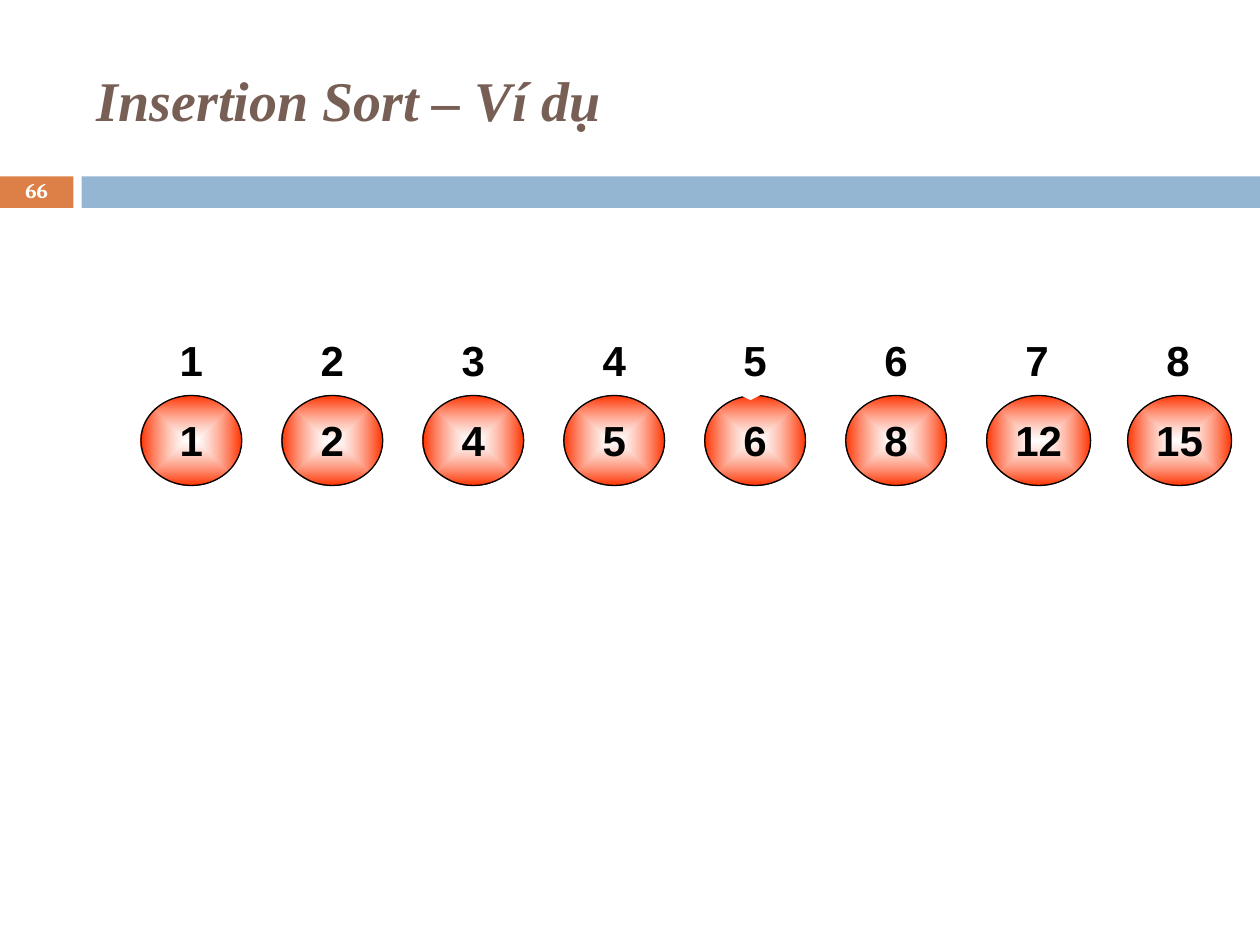
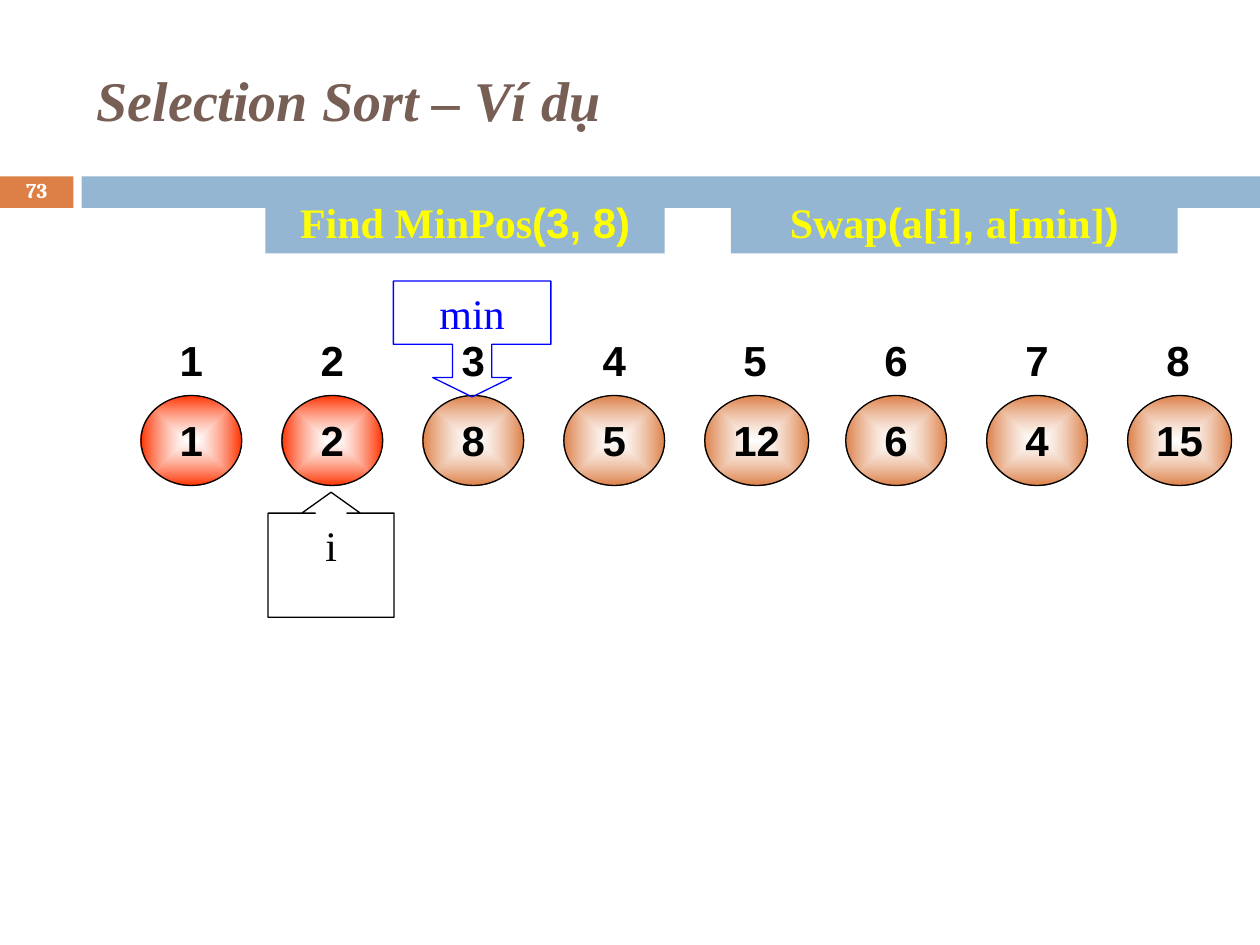
"""Build two slides that show sorting steps as rows of numbered circles."""
from pptx import Presentation
from pptx.dml.color import RGBColor
from pptx.enum.shapes import MSO_SHAPE
from pptx.enum.text import MSO_ANCHOR, PP_ALIGN
from pptx.oxml import parse_xml
from pptx.oxml.ns import nsdecls, qn
from pptx.util import Pt

COLORS = {
    "title": "775F55", "orange": "DD8047", "blue": "94B6D2", "sorted": "FF3300",
    "white": "FFFFFF", "black": "000000", "pointer": "0000FF", "yellow": "FFFF00",
}
SERIF, SANS, NUMBER_FONT = "Times New Roman", "Arial", "Cambria"

UP = (MSO_SHAPE.UP_ARROW_CALLOUT, (0.252, 0.234, 0.167, 0.989))
DOWN = (MSO_SHAPE.DOWN_ARROW_CALLOUT, (0.34, 0.34, 0.167, 0.546))

SLIDES = [
    {
        "title": "Insertion Sort – Ví dụ", "number": "66",
        "values": [1, 2, 4, 5, 6, 8, 12, 15], "sorted_count": 8,
        "callouts": [
            {"text": "", "kind": DOWN, "at": (383.8, 162, 90, 66.2),
             "fill": "white", "color": "white"},
        ],
        "banners": [],
    },
    {
        "title": "Selection Sort – Ví dụ", "number": "73",
        "values": [1, 2, 8, 5, 12, 6, 4, 15], "sorted_count": 2,
        "callouts": [
            {"text": "i", "kind": UP, "at": (153.2, 281.3, 72, 71.5),
             "fill": None, "color": "black"},
            {"text": "min", "kind": DOWN, "at": (224.8, 160.6, 90, 66.2),
             "fill": None, "color": "pointer"},
        ],
        "banners": [
            {"left": 151.7, "width": 228.2,
             "runs": [("Find MinPos", SERIF), ("(3, 8)", SANS)]},
            {"left": 417.7, "width": 255.2,
             "runs": [("Swap", SERIF), ("(", SANS), ("a[i]", SERIF), (", ", SANS),
                      ("a[min]", SERIF), (")", SANS)]},
        ],
    },
]

ROW_LEFT, PITCH = 80.6, 80.54
CIRCLE_WIDTH, WIDE_CIRCLE_WIDTH, CIRCLE_HEIGHT = 57.6, 59.4, 51.4
LABEL_TOP, CIRCLE_TOP = 180.3, 226
BAND_TOP, BAND_HEIGHT = 100.8, 18


def rgb(name):
    return RGBColor.from_string(COLORS[name])


def write(shape, text, font=SANS, size=24, color="black", bold=False, italic=False,
          align=PP_ALIGN.CENTER, anchor=MSO_ANCHOR.TOP, wrap=False, spacing=None):
    frame = shape.text_frame
    frame.word_wrap = wrap
    frame.vertical_anchor = anchor
    para = frame.paragraphs[0]
    para.alignment = align
    if spacing:
        para.line_spacing = spacing
    runs = [(text, font)] if isinstance(text, str) else text
    for words, run_font in runs:
        span = para.add_run()
        span.text = words
        span.font.name = run_font
        span.font.size = Pt(size)
        span.font.bold = bold
        span.font.italic = italic
        span.font.color.rgb = rgb(color)


def add_figure(shapes, kind, at, fill=None, line=None):
    shape = shapes.add_shape(kind, *map(Pt, at))
    shape.shadow.inherit = False
    if fill:
        shape.fill.solid()
        shape.fill.fore_color.rgb = rgb(fill)
    else:
        shape.fill.background()
    if line:
        shape.line.color.rgb = rgb(line)
        shape.line.width = Pt(0.75)
    else:
        shape.line.fill.background()
    return shape


def shade_from_centre(shape, color):
    shape.fill.gradient()
    plain = shape._element.spPr.find(qn("a:gradFill"))
    glow = parse_xml(
        f'<a:gradFill {nsdecls("a")} rotWithShape="0"><a:gsLst>'
        f'<a:gs pos="0"><a:srgbClr val="{COLORS["white"]}"><a:alpha val="60000"/></a:srgbClr></a:gs>'
        f'<a:gs pos="100000"><a:srgbClr val="{COLORS[color]}"/></a:gs></a:gsLst>'
        '<a:path path="rect"><a:fillToRect l="50000" t="50000" r="50000" b="50000"/></a:path>'
        '</a:gradFill>')
    plain.getparent().replace(plain, glow)


def add_frame(page, title, number):
    add_figure(page.shapes, MSO_SHAPE.RECTANGLE, (0, BAND_TOP, 42, BAND_HEIGHT), "orange")
    add_figure(page.shapes, MSO_SHAPE.RECTANGLE, (46.6, BAND_TOP, 673.4, BAND_HEIGHT), "blue")
    heading = page.shapes.add_textbox(*map(Pt, (48.2, 18, 642.2, 77.8)))
    write(heading, title, font=SERIF, size=32, color="title", bold=True, italic=True,
          align=PP_ALIGN.LEFT, anchor=MSO_ANCHOR.MIDDLE, wrap=True)
    box = page.shapes.add_textbox(*map(Pt, (0, 100.1, 42, 19.4)))
    write(box, number, font=NUMBER_FONT, size=12, color="white", bold=True,
          anchor=MSO_ANCHOR.MIDDLE, wrap=True, spacing=0.8)


def add_circles(page, values, sorted_count):
    for index, value in enumerate(values):
        width = WIDE_CIRCLE_WIDTH if value > 9 else CIRCLE_WIDTH
        at = (ROW_LEFT + index * PITCH, CIRCLE_TOP, width, CIRCLE_HEIGHT)
        circle = add_figure(page.shapes, MSO_SHAPE.OVAL, at, line="black")
        shade_from_centre(circle, "sorted" if index < sorted_count else "orange")
        write(circle, str(value), bold=True)


def add_index_labels(page, count):
    group = page.shapes.add_group_shape()
    for index in range(count):
        at = (ROW_LEFT + index * PITCH, LABEL_TOP, CIRCLE_WIDTH, CIRCLE_HEIGHT)
        label = add_figure(group.shapes, MSO_SHAPE.OVAL, at)
        write(label, str(index + 1), bold=True)


def add_callout(page, text, kind, at, fill, color):
    preset, adjustments = kind
    callout = add_figure(page.shapes, preset, at, fill, color)
    for index, amount in enumerate(adjustments):
        callout.adjustments[index] = amount
    if text:
        write(callout, text, font=SERIF, color=color)


def add_banner(page, left, width, runs):
    banner = add_figure(page.shapes, MSO_SHAPE.RECTANGLE, (left, 108.9, width, 36), "blue")
    write(banner, runs, color="yellow", bold=True)


def main():
    deck = Presentation()
    deck.slide_width, deck.slide_height = Pt(720), Pt(540)
    for content in SLIDES:
        page = deck.slides.add_slide(deck.slide_layouts[6])
        add_frame(page, content["title"], content["number"])
        add_circles(page, content["values"], content["sorted_count"])
        for callout in content["callouts"]:
            add_callout(page, **callout)
        add_index_labels(page, len(content["values"]))
        for banner in content["banners"]:
            add_banner(page, **banner)
    deck.save("out.pptx")


if __name__ == "__main__":
    main()
